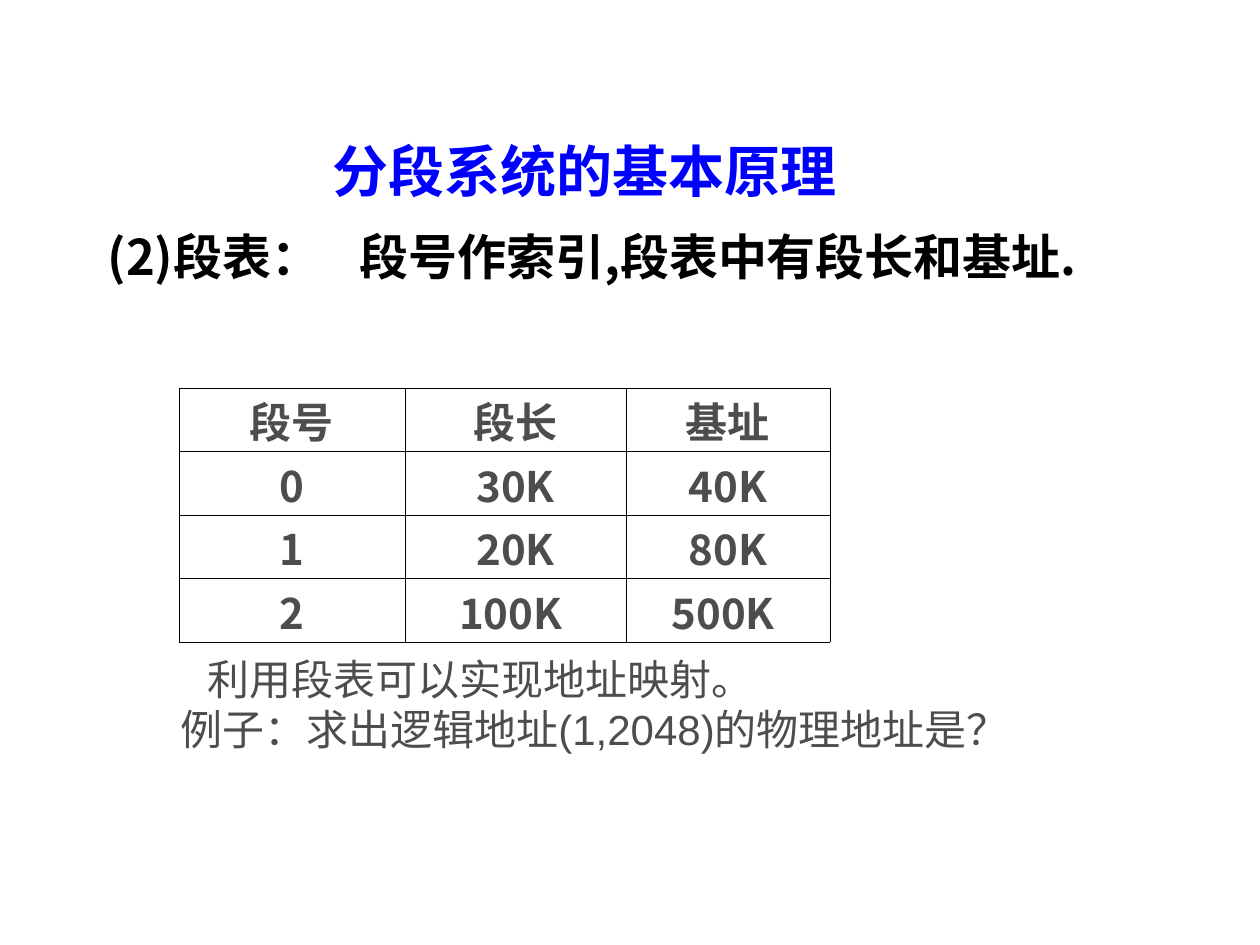
from lxml import etree
from pptx import Presentation
from pptx.dml.color import RGBColor
from pptx.enum.text import MSO_ANCHOR, MSO_AUTO_SIZE, PP_ALIGN
from pptx.oxml.ns import qn
from pptx.util import Emu, Pt

TOP, MID, LOW = MSO_ANCHOR.TOP, MSO_ANCHOR.MIDDLE, MSO_ANCHOR.BOTTOM
LEFT, MIDST = PP_ALIGN.LEFT, PP_ALIGN.CENTER
FIXED = MSO_AUTO_SIZE.NONE
COLORS = {"title": "0000FF", "ink": "000000", "text": "4D4D4D"}
CJK = "Noto Sans CJK SC"
ROWS = [
    ["段号", "段长", "基址"],
    ["0", "30K", "40K"],
    ["1", "20K", "80K"],
    ["2", "100K ", "500K "],
]


def px(n):
    """Turn px into EMU."""
    return Emu(round(n * 914400 / 126))


def write(para, text, size=24, color="text", font=CJK, bold=False,
          align=LEFT, indent=0, tab=None):
    """Fill a paragraph with formatted text."""
    para.alignment = align
    para.space_before = Pt(0)
    props = para._p.get_or_add_pPr()
    props.set("marL", "0")
    props.set("indent", str(px(indent)))
    etree.SubElement(props, qn("a:buNone"))
    if tab:
        tabs = etree.SubElement(props, qn("a:tabLst"))
        etree.SubElement(tabs, qn("a:tab"), pos=str(px(tab)), algn="l")
    run = para.add_run()
    run.text = text
    face = run.font
    face.size, face.bold, face.name = Pt(size), bold, font
    face.color.rgb = RGBColor.from_string(COLORS[color])
    etree.SubElement(run._r.get_or_add_rPr(), qn("a:ea"), typeface=CJK)


def place(shape, box, anchor):
    """Move a text shape to its box and return its frame."""
    shape.left, shape.top, shape.width, shape.height = map(px, box)
    frame = shape.text_frame
    frame.word_wrap = True
    frame.auto_size = FIXED
    frame.vertical_anchor = anchor
    return frame


def add_head(slide, box):
    """Set the slide title."""
    frame = place(slide.shapes.title, box, LOW)
    write(frame.paragraphs[0], "分段系统的基本原理", size=32, color="title",
          font="Arial", bold=True, align=MIDST)


def add_body(slide, box):
    """Set the line that explains the segment table."""
    frame = place(slide.placeholders[1], box, TOP)
    write(frame.paragraphs[0], "(2)段表：\t段号作索引,段表中有段长和基址.",
          size=28, color="ink", bold=True, tab=290)


def edge(cell):
    """Draw thin lines on all sides of a cell."""
    props = cell._tc.get_or_add_tcPr()
    for i, side in enumerate(("lnL", "lnR", "lnT", "lnB")):
        line = etree.Element(qn(f"a:{side}"), w=str(Pt(0.45)))
        fill = etree.SubElement(line, qn("a:solidFill"))
        etree.SubElement(fill, qn("a:srgbClr"), val=COLORS["ink"])
        props.insert(i, line)


def add_grid(slide, box, widths):
    """Add the segment table."""
    frame = slide.shapes.add_table(len(ROWS), len(widths), *map(px, box))
    table = frame.table
    table.first_row = table.horz_banding = False
    for col, width in zip(table.columns, widths):
        col.width = px(width)
    for r, row in enumerate(ROWS):
        table.rows[r].height = px(box[3] / len(ROWS))
        for c, text in enumerate(row):
            cell = table.cell(r, c)
            cell.margin_top, cell.margin_bottom = px(2), 0
            cell.fill.background()
            edge(cell)
            write(cell.text_frame.paragraphs[0], text, bold=True, align=MIDST)


def add_note(slide, box):
    """Add the remark and the example below the table."""
    frame = place(slide.shapes.add_textbox(0, 0, 0, 0), box, MID)
    write(frame.paragraphs[0], "利用段表可以实现地址映射。", font="Arial", indent=27)
    write(frame.add_paragraph(), "例子：求出逻辑地址(1,2048)的物理地址是？", font="Arial")


def main():
    """Build and save the slide."""
    deck = Presentation()
    deck.slide_width, deck.slide_height = px(1260), px(945)
    slide = deck.slides.add_slide(deck.slide_layouts[1])
    add_head(slide, (168, 130, 833, 80))
    add_body(slide, (95, 220, 1144, 162))
    add_grid(slide, (179, 388, 651, 254), (226, 221, 204))
    add_note(slide, (168, 647, 955, 113))
    deck.save("out.pptx")


if __name__ == "__main__":
    main()
